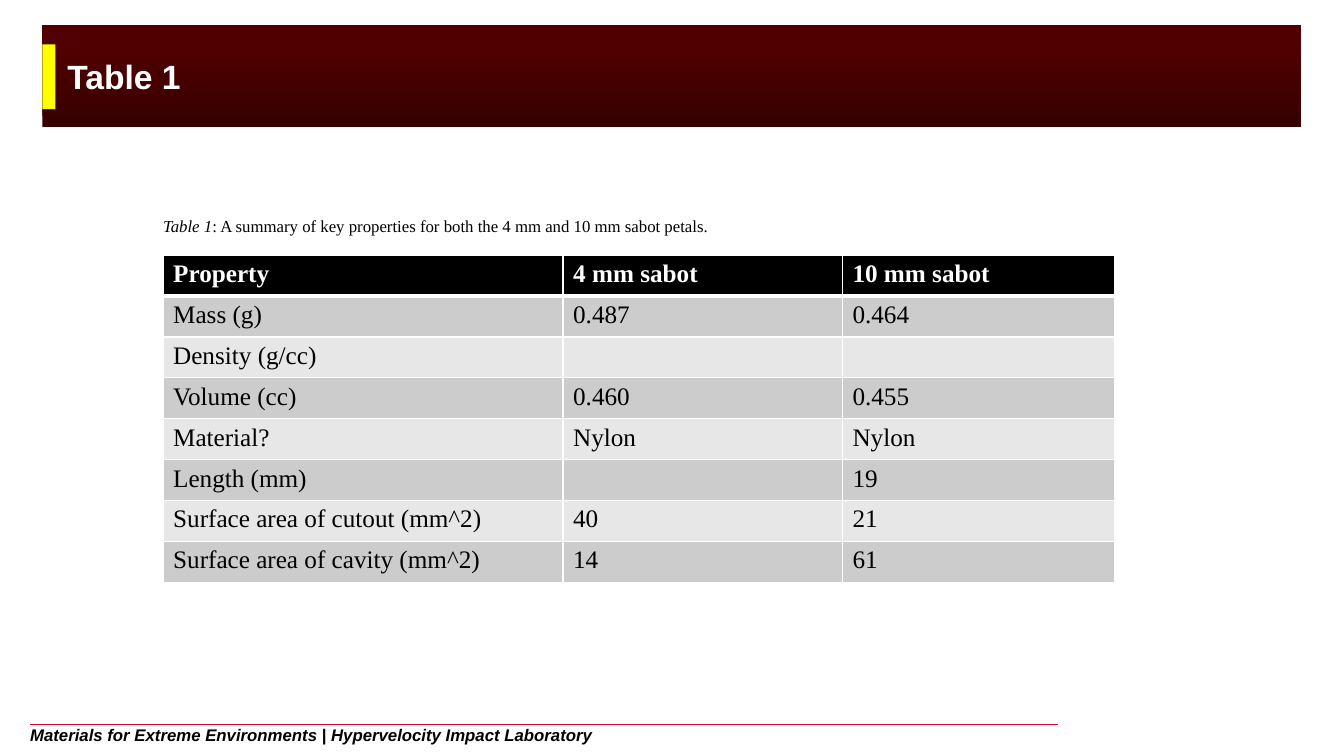
from dataclasses import dataclass

from lxml import etree
from pptx import Presentation
from pptx.dml import color as dml
from pptx.enum import shapes, text
from pptx.oxml import ns
from pptx.util import Cm, Pt


@dataclass(frozen=True)
class Theme:
    sans: str = "Arial"
    serif: str = "Times New Roman"
    black: str = "000000"
    white: str = "FFFFFF"
    maroon: str = "500000"
    dark_maroon: str = "370000"
    yellow: str = "FFFF00"
    red: str = "E4002B"
    bands: tuple[str, str] = ("CCCCCC", "E7E7E7")
    title_size: float = 24
    table_size: float = 18
    small_size: float = 12


@dataclass(frozen=True)
class Frame:
    left: float
    top: float
    width: float
    height: float

    def lengths(self) -> tuple:
        return Cm(self.left), Cm(self.top), Cm(self.width), Cm(self.height)


@dataclass(frozen=True)
class Span:
    words: str
    italic: bool = False


@dataclass(frozen=True)
class Label:
    frame: Frame
    spans: tuple[Span, ...]
    font: str
    size: float
    color: str
    bold: bool = False
    anchor: text.MSO_ANCHOR = text.MSO_ANCHOR.MIDDLE
    inset: float = 0


THEME = Theme()
BANNER = Frame(1.07, 0.64, 31.72, 2.57)
ACCENT = Frame(1.07, 1.12, 0.33, 1.63)
FOOTER = Frame(0.76, 18.26, 25.91, 0.51)
TABLE_LEFT, TABLE_TOP = 4.11, 6.43
COLUMN_WIDTHS = (10.08, 7.04, 6.86)
ROW_HEIGHT = 1.03

LABELS = (
    Label(FOOTER,
          (Span("Materials for Extreme Environments | Hypervelocity Impact Laboratory", True),),
          THEME.sans, THEME.small_size, THEME.black, True, text.MSO_ANCHOR.BOTTOM),
    Label(Frame(1.45, 0.64, 25.65, 2.57), (Span("Table 1"),),
          THEME.sans, THEME.title_size, THEME.white, True, inset=0.25),
    Label(Frame(TABLE_LEFT, 4.93, 20.47, 1.52),
          (Span("Table 1", True),
           Span(": A summary of key properties for both the 4 mm and 10 mm sabot petals.")),
          THEME.serif, THEME.small_size, THEME.black),
)

ROWS = (
    ("Property", "4 mm sabot", "10 mm sabot"),
    ("Mass (g)", "0.487", "0.464"),
    ("Density (g/cc)", "", ""),
    ("Volume (cc)", "0.460", "0.455"),
    ("Material?", "Nylon", "Nylon"),
    ("Length (mm)", "", "19"),
    ("Surface area of cutout (mm^2)", "40", "21"),
    ("Surface area of cavity (mm^2)", "14", "61"),
)


def rgb(code: str) -> dml.RGBColor:
    return dml.RGBColor.from_string(code)


def style_font(font, name: str, size: float, color: str, bold: bool) -> None:
    font.name = name
    font.size = Pt(size)
    font.bold = bold
    font.color.rgb = rgb(color)


def add_block(page, frame: Frame):
    block = page.shapes.add_shape(shapes.MSO_SHAPE.RECTANGLE, *frame.lengths())
    block.shadow.inherit = False
    block.line.fill.background()
    return block


def add_banner(page) -> None:
    fill = add_block(page, BANNER).fill
    fill.gradient()
    fill.gradient_angle = 90
    stops = ((0.05, THEME.dark_maroon), (0.76, THEME.maroon))
    for stop, (position, color) in zip(fill.gradient_stops, stops):
        stop.position = position
        stop.color.rgb = rgb(color)
    accent = add_block(page, ACCENT)
    accent.fill.solid()
    accent.fill.fore_color.rgb = rgb(THEME.yellow)


def add_footer_rule(page) -> None:
    left, top, width, _ = FOOTER.lengths()
    rule = page.shapes.add_connector(
        shapes.MSO_CONNECTOR.STRAIGHT, left, top, left + width, top)
    rule.line.color.rgb = rgb(THEME.red)
    rule.line.width = Pt(1)
    etree.SubElement(rule._element.spPr, ns.qn("a:effectLst"))


def add_label(page, label: Label) -> None:
    box = page.shapes.add_textbox(*label.frame.lengths())
    frame = box.text_frame
    frame.word_wrap = True
    frame.vertical_anchor = label.anchor
    frame.margin_left = frame.margin_right = Cm(label.inset)
    frame.margin_top = frame.margin_bottom = 0
    para = frame.paragraphs[0]
    style_font(para.font, label.font, label.size, label.color, label.bold)
    for span in label.spans:
        run = para.add_run()
        run.text = span.words
        run.font.italic = span.italic


def add_borders(cell, bottom: float) -> None:
    properties = cell._tc.get_or_add_tcPr()
    for side, points in (("L", 1), ("R", 1), ("T", 1), ("B", bottom)):
        edge = etree.SubElement(properties, ns.qn(f"a:ln{side}"), w=str(Pt(points)))
        paint = etree.SubElement(edge, ns.qn("a:solidFill"))
        etree.SubElement(paint, ns.qn("a:srgbClr"), val=THEME.white)


def add_property_table(page) -> None:
    frame = Frame(TABLE_LEFT, TABLE_TOP, sum(COLUMN_WIDTHS), ROW_HEIGHT * len(ROWS))
    table = page.shapes.add_table(
        len(ROWS), len(COLUMN_WIDTHS), *frame.lengths()).table
    for column, width in zip(table.columns, COLUMN_WIDTHS):
        column.width = Cm(width)
    for index, values in enumerate(ROWS):
        header = index == 0
        table.rows[index].height = Cm(ROW_HEIGHT)
        for cell, value in zip(table.rows[index].cells, values):
            cell.text = value
            style_font(cell.text_frame.paragraphs[0].font, THEME.serif, THEME.table_size,
                       THEME.white if header else THEME.black, header)
            add_borders(cell, 3 if header else 1)
            cell.fill.solid()
            cell.fill.fore_color.rgb = rgb(
                THEME.black if header else THEME.bands[(index - 1) % 2])


def main() -> None:
    deck = Presentation()
    deck.slide_width, deck.slide_height = Cm(33.87), Cm(19.05)
    page = deck.slides.add_slide(deck.slide_layouts[6])
    add_banner(page)
    add_footer_rule(page)
    add_property_table(page)
    for label in LABELS:
        add_label(page, label)
    deck.save("out.pptx")


if __name__ == "__main__":
    main()
